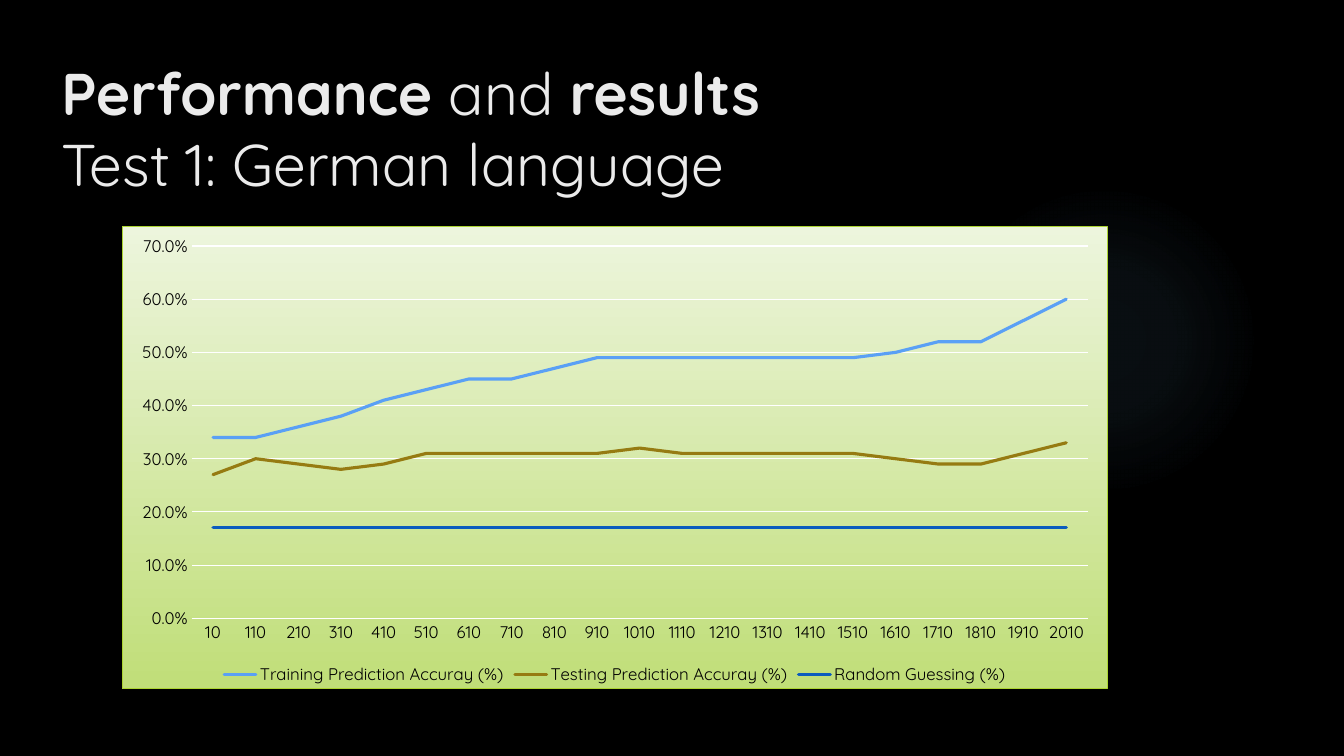
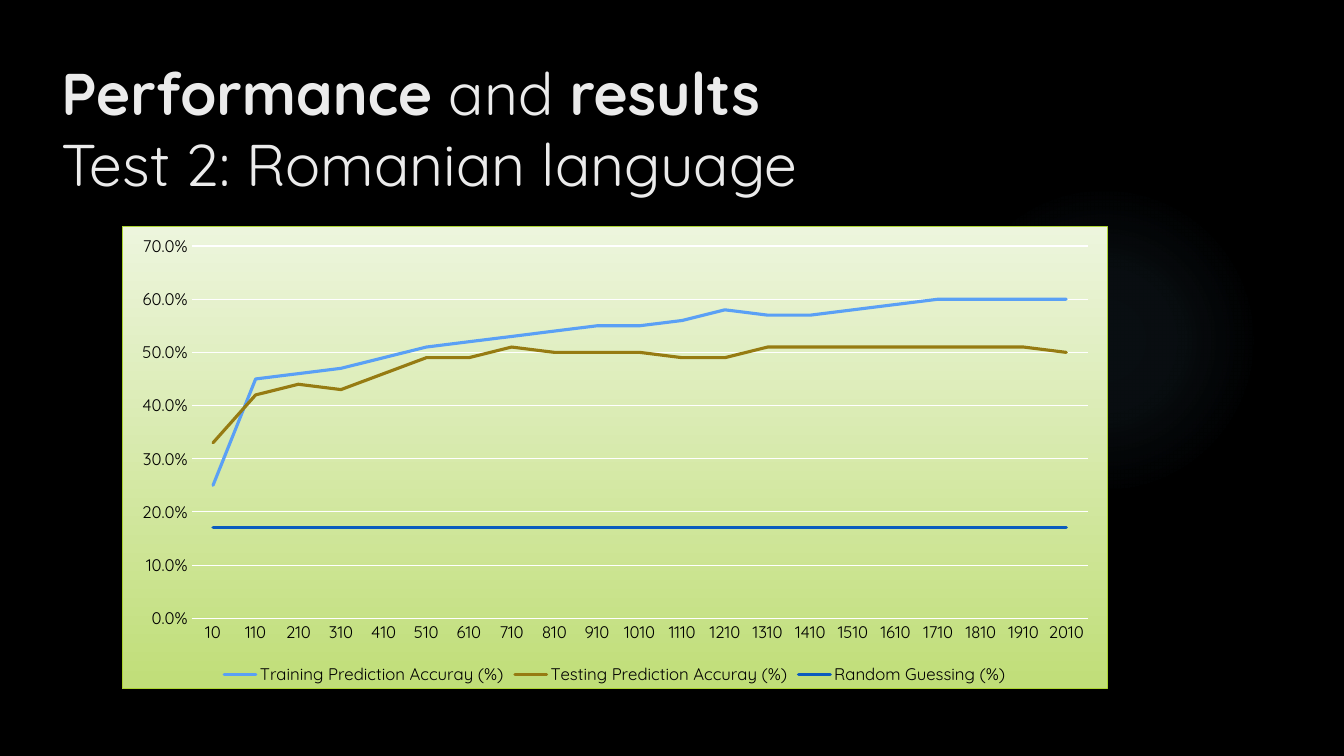
from lxml import etree
from pptx import Presentation
from pptx.chart.data import CategoryChartData
from pptx.dml.color import RGBColor
from pptx.enum.chart import XL_CHART_TYPE, XL_LEGEND_POSITION, XL_TICK_MARK
from pptx.enum.shapes import MSO_SHAPE
from pptx.enum.text import MSO_ANCHOR
from pptx.oxml.ns import nsdecls, qn
from pptx.util import Pt

LINE_CHART = XL_CHART_TYPE.LINE
LEGEND_BOTTOM = XL_LEGEND_POSITION.BOTTOM
NO_TICK = XL_TICK_MARK.NONE
OVAL = MSO_SHAPE.OVAL
ANCHOR_MIDDLE = MSO_ANCHOR.MIDDLE

# Shared colours and formats
BLACK = RGBColor(0x00, 0x00, 0x00)
WHITE = RGBColor(0xFF, 0xFF, 0xFF)
TITLE_GREY = RGBColor(0xEB, 0xEB, 0xEB)
GLOW_BLUE = RGBColor(0x7A, 0xC4, 0xF0)
PANEL_LIGHT = RGBColor(0xED, 0xF5, 0xDD)
PANEL_GREEN = RGBColor(0xC0, 0xDE, 0x78)
PANEL_BORDER = RGBColor(0xAC, 0xD4, 0x33)
TRAINING_BLUE = RGBColor(0x5A, 0xA0, 0xF5)
TESTING_BROWN = RGBColor(0x96, 0x7B, 0x12)
GUESSING_BLUE = RGBColor(0x0B, 0x5C, 0xBE)

TITLE_FONT = {"name": "Quicksand", "size": Pt(42)}
CHART_FONT = {"name": "Quicksand", "size": Pt(12), "bold": False}
VALUE_SCALE = {"minimum_scale": 0, "maximum_scale": 0.7, "major_unit": 0.1}

# Gradients: stops are (position %, colour, opacity %)
GLOW_STOPS = [(0, GLOW_BLUE, 7), (36, GLOW_BLUE, 6), (69, GLOW_BLUE, 0)]
GLOW_DIRECTION = (
    '<a:path path="circle">'
    '<a:fillToRect l="50000" t="50000" r="50000" b="50000"/></a:path>'
)
PANEL_STOPS = [(0, PANEL_LIGHT, 100), (100, PANEL_GREEN, 100)]
PANEL_DIRECTION = '<a:lin ang="5400000" scaled="0"/>'

# Chart content, in whole percent
STEPS = range(10, 2011, 100)
SERIES = [
    ("Training Prediction Accuray (%)", TRAINING_BLUE),
    ("Testing Prediction Accuray (%)", TESTING_BROWN),
    ("Random Guessing (%)", GUESSING_BLUE),
]
GUESSING = [17] * len(STEPS)
TESTS = [
    (
        "Test 1: German language",
        [34, 34, 36, 38, 41, 43, 45, 45, 47] + [49] * 6 + [49, 50, 52, 52, 56, 60],
        [27, 30, 29, 28, 29, 31, 31, 31, 31, 31, 32] + [31] * 5
        + [30, 29, 29, 31, 33],
    ),
    (
        "Test 2: Romanian language",
        [25, 45, 46, 47, 49, 51, 52, 53, 54, 55, 55, 56, 58, 57, 57, 58, 59]
        + [60] * 4,
        [33, 42, 44, 43, 46, 49, 49, 51, 50, 50, 50, 49, 49] + [51] * 7 + [50],
    ),
]


def apply_format(target, values):
    for name, value in values.items():
        setattr(target, name, value)


def style_font(font, values, color):
    apply_format(font, values)
    font.color.rgb = color


def style_line(line, color, width):
    line.color.rgb = color
    line.width = Pt(width)


def gradient(stops, direction):
    stop_xml = "".join(
        f'<a:gs pos="{position * 1000}"><a:srgbClr val="{color}">'
        f'<a:alpha val="{opacity * 1000}"/></a:srgbClr></a:gs>'
        for position, color, opacity in stops
    )
    return etree.fromstring(
        f'<a:gradFill {nsdecls("a")} rotWithShape="1">'
        f"<a:gsLst>{stop_xml}</a:gsLst>{direction}</a:gradFill>"
    )


def add_glow(page):
    glow = page.shapes.add_shape(OVAL, Pt(677.5), Pt(131.8), Pt(221.8), Pt(221.8))
    glow.shadow.inherit = False
    glow.line.fill.background()
    glow.fill.background()
    properties = glow.element.spPr
    properties.replace(
        properties.find(qn("a:noFill")), gradient(GLOW_STOPS, GLOW_DIRECTION)
    )


def add_title(page, subtitle):
    box = page.shapes.add_textbox(Pt(36.7), Pt(36), Pt(755.3), Pt(110.2))
    frame = box.text_frame
    apply_format(frame, {"word_wrap": True, "vertical_anchor": ANCHOR_MIDDLE})
    para = frame.paragraphs[0]
    for text, bold in [("Performance ", True), ("and ", False), ("results", True),
                       (subtitle, False)]:
        if text == subtitle:
            para.add_line_break()
        span = para.add_run()
        span.text = text
        style_font(span.font, {**TITLE_FONT, "bold": bold}, TITLE_GREY)


def style_panel(chart):
    """Give the chart area its gradient and border."""
    properties = etree.fromstring(
        f'<c:spPr {nsdecls("c", "a")}><a:ln w="{Pt(0.75)}"><a:solidFill>'
        f'<a:srgbClr val="{PANEL_BORDER}"/></a:solidFill></a:ln></c:spPr>'
    )
    properties.insert(0, gradient(PANEL_STOPS, PANEL_DIRECTION))
    chart.element.find(qn("c:chart")).addnext(properties)


def style_axes(chart):
    for axis in (chart.category_axis, chart.value_axis):
        apply_format(axis, {"major_tick_mark": NO_TICK, "minor_tick_mark": NO_TICK})
        style_font(axis.tick_labels.font, CHART_FONT, BLACK)
    style_line(chart.category_axis.format.line, WHITE, 0.75)

    values = chart.value_axis
    apply_format(values, VALUE_SCALE)
    values.format.line.fill.background()
    style_line(values.major_gridlines.format.line, WHITE, 0.75)
    apply_format(
        values.tick_labels,
        {"number_format": "0.0%", "number_format_is_linked": False},
    )


def style_series(plot):
    """Draw each series as a straight line with round ends."""
    plot.vary_by_categories = False
    for series, (_, color) in zip(plot.series, SERIES):
        series.smooth = False
        style_line(series.format.line, color, 2.25)
        outline = series.format.line.fill and series.format.element.find(
            f'{qn("c:spPr")}/{qn("a:ln")}'
        ) if hasattr(series.format, "element") else next(
            chart_line for chart_line in plot_lines(series)
        )
        outline.set("cap", "rnd")


def plot_lines(series):
    return series.format.line.fill and [
        node for node in series_element(series).iter(qn("a:ln"))
    ]


def series_element(series):
    return series._element


def add_accuracy_chart(page, columns):
    data = CategoryChartData(number_format="0.0%")
    data.categories = [str(step) for step in STEPS]
    for (name, _), column in zip(SERIES, columns):
        data.add_series(name, [value / 100 for value in column])
    chart = page.shapes.add_chart(
        LINE_CHART, Pt(87.1), Pt(161.3), Pt(704.2), Pt(331), data
    ).chart
    apply_format(chart, {"has_title": False, "has_legend": True})
    style_font(chart.font, {**CHART_FONT, "size": Pt(10)}, BLACK)
    apply_format(
        chart.legend, {"position": LEGEND_BOTTOM, "include_in_layout": False}
    )
    style_font(chart.legend.font, CHART_FONT, BLACK)
    style_axes(chart)
    style_panel(chart)
    style_series(chart.plots[0])


def add_page(deck):
    page = deck.slides.add_slide(deck.slide_layouts[6])
    page.background.fill.solid()
    page.background.fill.fore_color.rgb = BLACK
    add_glow(page)
    return page


def main():
    deck = Presentation()
    apply_format(deck, {"slide_width": Pt(960), "slide_height": Pt(540)})
    for subtitle, training, testing in TESTS:
        page = add_page(deck)
        add_title(page, subtitle)
        add_accuracy_chart(page, [training, testing, GUESSING])
    deck.save("out.pptx")


if __name__ == "__main__":
    main()
